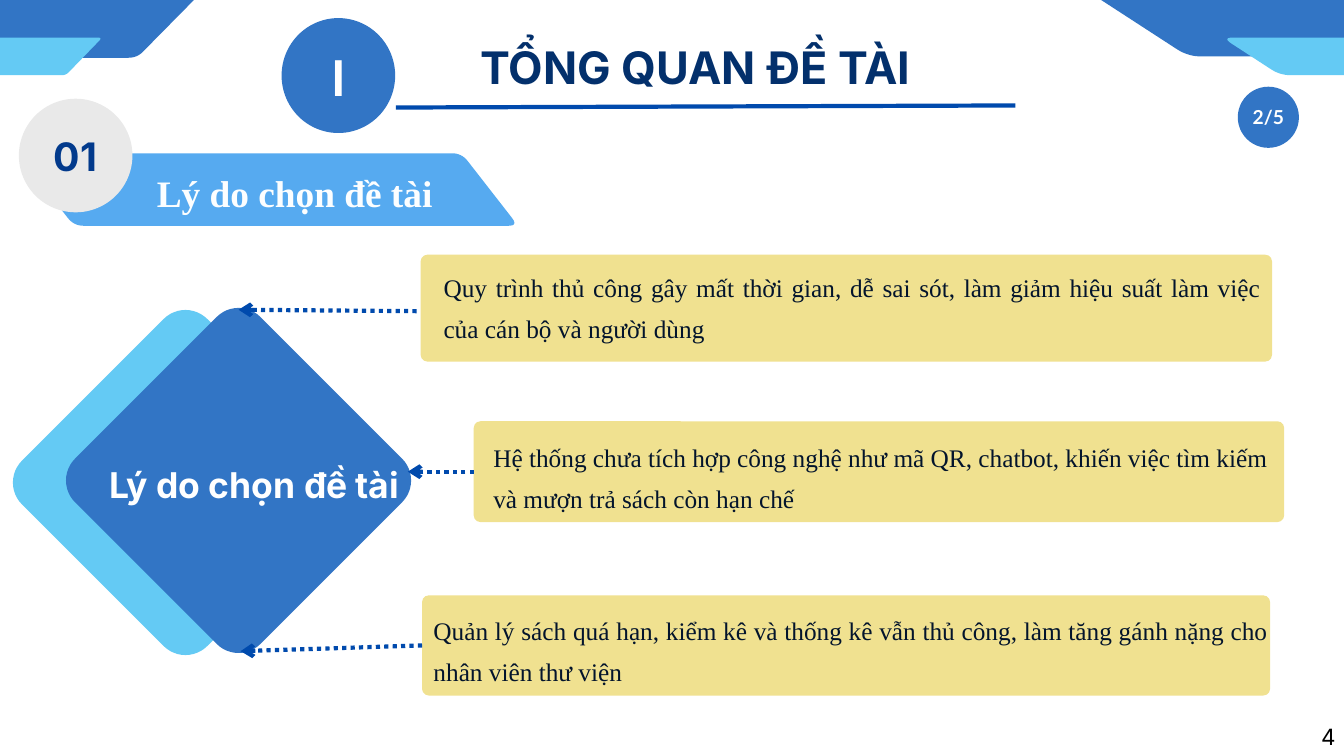
from lxml.etree import SubElement
from pptx import Presentation
from pptx.dml.color import RGBColor
from pptx.enum.dml import MSO_LINE_DASH_STYLE as DASH
from pptx.enum.shapes import MSO_CONNECTOR as CONNECTOR, MSO_SHAPE as SHAPE
from pptx.enum.text import MSO_ANCHOR as ANCHOR, PP_ALIGN as ALIGN
from pptx.oxml.ns import qn
from pptx.util import Pt

BLUE = RGBColor(0x32, 0x75, 0xC5)
SKY = RGBColor(0x64, 0xCA, 0xF4)
BANNER_BLUE = RGBColor(0x56, 0xAA, 0xF0)
LINE_BLUE = RGBColor(0x00, 0x4A, 0xAD)
TITLE_NAVY = RGBColor(0x03, 0x30, 0x6C)
NUMBER_NAVY = RGBColor(0x02, 0x3A, 0x8C)
TEXT_NAVY = RGBColor(0x03, 0x14, 0x2C)
GRAY = RGBColor(0xE9, 0xE9, 0xE9)
SAND = RGBColor(0xF0, 0xE1, 0x90)
OFF_WHITE = RGBColor(0xFC, 0xFE, 0xFF)
WHITE = RGBColor(0xFF, 0xFF, 0xFF)
BLACK = RGBColor(0, 0, 0)

TITLE = "TỔNG QUAN ĐỀ TÀI"
SECTION = "Lý do chọn đề tài"
SLIDE_NUMBER = "4"

# top-left x, bottom-left x, width, top, bottom, corner cut, colour
CORNER_BANDS = [
    (-226, -315.4, 462.2, -28.8, 61.9, 9, BLUE),
    (-97.9, -136.8, 207.4, 40.3, 80.6, 4.5, SKY),
    (1135.4, 1273, 414, -28.8, 60.5, 14, BLUE),
    (1309.7, 1371.6, 185, 40.3, 80.6, 11.5, SKY),
]
BANNER = (18.7, 79.2, 475.9, 164.2, 241.9, 10.5, BANNER_BLUE)

DIAMOND_SIDE, DIAMOND_RADIUS, CARD_RADIUS = 280.8, 33, 7.2
DIAMONDS = [(58.3, 376.6, SKY), (115.2, 374.4, BLUE)]

CARDS = [
    dict(text="Quy trình thủ công gây mất thời gian, dễ sai sót, làm giảm hiệu suất "
              "làm việc của cán bộ và người dùng",
         box=(450.7, 272.9, 912.2, 114.5), insets=(24.5, 7.9, 11.5),
         arrow=(446.4, 333.4, 255.6, 331.9), joined=False),
    dict(text="Hệ thống chưa tích hợp công nghệ như mã QR, chatbot, khiến việc tìm "
              "kiếm và mượn trả sách còn hạn chế",
         box=(507.6, 451.4, 868.3, 108), insets=(20.9, 11.6, 17.2),
         arrow=(507.6, 505.4, 437, 505.4), joined=True),
    dict(text="Quản lý sách quá hạn, kiểm kê và thống kê vẫn thủ công, làm tăng gánh "
              "nặng cho nhân viên thư viện",
         box=(452.2, 637.9, 908.6, 107.3), insets=(12.2, 10.1, 1.4),
         arrow=(452.2, 691.2, 257.8, 697.7), joined=True),
]

presentation = Presentation()
presentation.slide_width, presentation.slide_height = Pt(1440), Pt(810)
slide = presentation.slides.add_slide(presentation.slide_layouts[5])
shapes = slide.shapes


def write(shape, text, font="Inter", size=24, color=WHITE, bold=True, spacing=None,
          align=ALIGN.CENTER, anchor=ANCHOR.TOP, insets=(0, 0, 0), wrap=True):
    frame = shape.text_frame
    frame.word_wrap = wrap
    frame.vertical_anchor = anchor
    frame.margin_left, frame.margin_top, frame.margin_right = map(Pt, insets)
    frame.margin_bottom = 0
    paragraph = frame.paragraphs[0]
    paragraph.text = text
    paragraph.alignment = align
    paragraph.line_spacing = Pt(spacing)
    paragraph.space_before = Pt(0)
    paragraph.font.name = font
    paragraph.font.size = Pt(size)
    paragraph.font.bold = bold
    paragraph.font.color.rgb = color


def text_box(box, text, **style):
    write(shapes.add_textbox(*map(Pt, box)), text, **style)


def paint(shape, color):
    shape.shadow.inherit = False
    shape.fill.solid()
    shape.fill.fore_color.rgb = color
    shape.line.fill.background()
    return shape


def add_preset(kind, box, color):
    return paint(shapes.add_shape(kind, *map(Pt, box)), color)


def rounded_rectangle(box, radius, color):
    shape = add_preset(SHAPE.ROUNDED_RECTANGLE, box, color)
    shape.adjustments[0] = radius / min(box[2:])
    return shape


def toward(start, end, distance):
    dx, dy = end[0] - start[0], end[1] - start[1]
    ratio = distance / (dx * dx + dy * dy) ** 0.5
    return start[0] + dx * ratio, start[1] + dy * ratio


def parallelogram(top_x, bottom_x, width, top, bottom, cut, color, steps=8):
    corners = [(top_x, top), (top_x + width, top),
               (bottom_x + width, bottom), (bottom_x, bottom)]
    outline = []
    for index, corner in enumerate(corners):
        first = toward(corner, corners[index - 1], cut)
        last = toward(corner, corners[(index + 1) % 4], cut)
        for step in range(steps + 1):
            t = step / steps
            outline.append(tuple(
                Pt((1 - t) ** 2 * a + 2 * t * (1 - t) * b + t * t * c)
                for a, b, c in zip(first, corner, last)))
    builder = shapes.build_freeform(*outline[0])
    builder.add_line_segments(outline[1:], close=True)
    paint(builder.convert_to_shape(), color)


def add_line(points):
    connector = shapes.add_connector(CONNECTOR.STRAIGHT, *map(Pt, points))
    connector.line.color.rgb = LINE_BLUE
    connector.line.width = Pt(4.5)
    SubElement(connector._element.spPr, qn("a:effectLst"))
    return connector


for band in CORNER_BANDS:
    parallelogram(*band)

write_title = shapes.title
write_title.left, write_title.top, write_title.width, write_title.height = map(
    Pt, (507.6, 32.4, 475.2, 61.9))
write(write_title, TITLE, size=48, color=TITLE_NAVY, spacing=67.2)

add_preset(SHAPE.OVAL, (283, 0.7, 159.1, 161.3), WHITE)
chapter = add_preset(SHAPE.OVAL, (301.7, 19.4, 121.7, 123.1), BLUE)
write(chapter, "I", font="Lato", size=53, spacing=59.9, anchor=ANCHOR.MIDDLE,
      insets=(0, 7, 0))
add_line((424.1, 115.2, 1087.9, 113))

parallelogram(*BANNER)
section_number = add_preset(SHAPE.OVAL, (20.2, 105.8, 121.7, 121.7), GRAY)
write(section_number, "01", size=42, color=NUMBER_NAVY, spacing=47.5,
      anchor=ANCHOR.MIDDLE, insets=(0, 3, 0))
text_box((80.6, 174.2, 470.2, 52.6), SECTION, font="Times New Roman", size=40,
         color=OFF_WHITE, spacing=56)

for left, top, color in DIAMONDS:
    diamond = rounded_rectangle((left, top, DIAMOND_SIDE, DIAMOND_SIDE),
                                DIAMOND_RADIUS, color)
    diamond.rotation = 45
text_box((91.4, 488.2, 362.2, 51.8), SECTION, size=38, spacing=53.2)

corner_inset = CARD_RADIUS * 0.29
for card in CARDS:
    box = rounded_rectangle(card["box"], CARD_RADIUS, SAND)
    write(box, card["text"], font="Times New Roman", size=27.1, color=TEXT_NAVY,
          bold=False, spacing=43.7, align=ALIGN.JUSTIFY,
          insets=[max(inset - corner_inset, 0) for inset in card["insets"]])
    arrow = add_line(card["arrow"])
    arrow.line.dash_style = DASH.ROUND_DOT
    SubElement(arrow.line._get_or_add_ln(), qn("a:tailEnd"), type="arrow")
    if card["joined"]:
        arrow.begin_connect(box, 1)

page = add_preset(SHAPE.OVAL, (1326.2, 92.9, 65.5, 65.5), BLUE)
write(page, "2/5", font="Lato", size=20.6, spacing=23.3, anchor=ANCHOR.MIDDLE)
text_box((1415.5, 770.4, 12.2, 33.6), SLIDE_NUMBER, color=BLACK, bold=False,
         spacing=33.6, wrap=False)

presentation.save("out.pptx")
